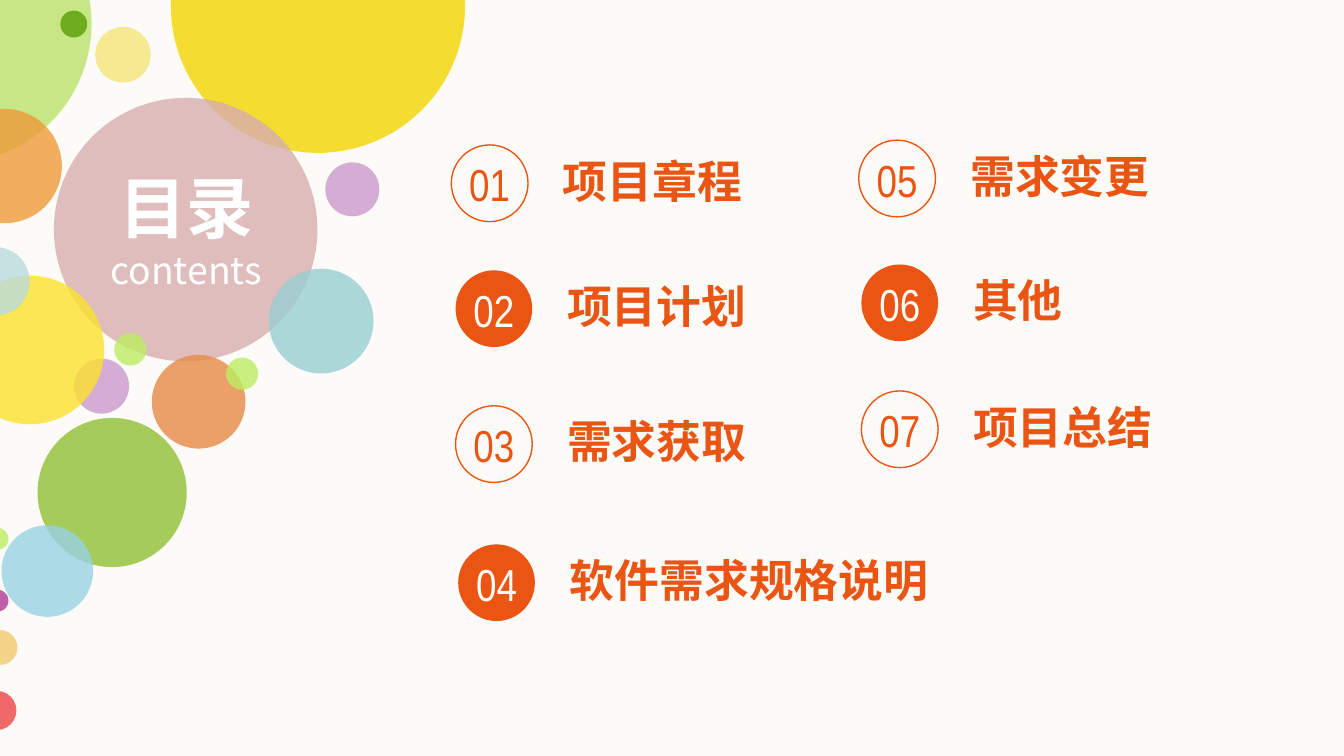
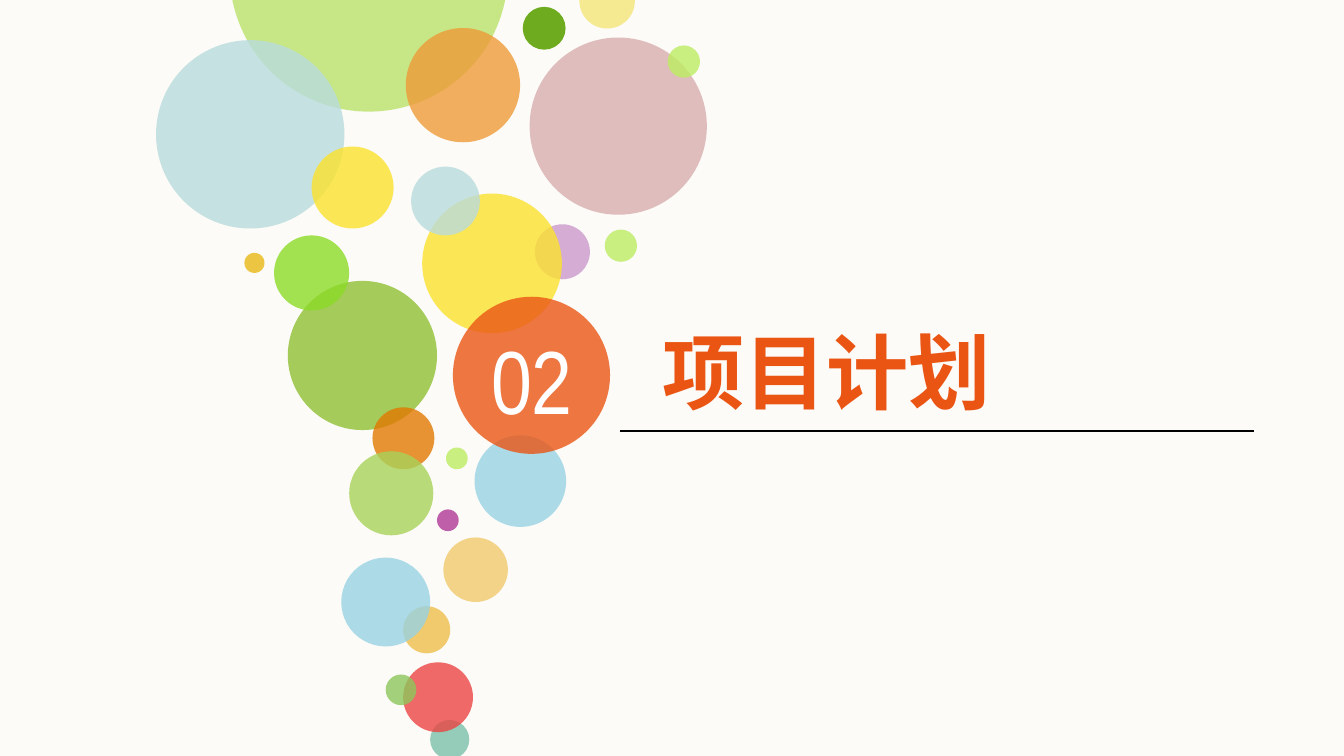
from lxml import etree
from pptx import Presentation
from pptx.dml.color import RGBColor
from pptx.enum.shapes import MSO_CONNECTOR, MSO_SHAPE
from pptx.enum.text import MSO_AUTO_SIZE, PP_ALIGN
from pptx.oxml.ns import qn
from pptx.util import Cm, Pt

CJK_FONT = "Noto Sans CJK SC"
NUMBER_FONT = "Arial Narrow"

PAPER = RGBColor(0xFC, 0xFB, 0xF7)
WHITE = RGBColor(0xFF, 0xFF, 0xFF)
BLACK = RGBColor(0x00, 0x00, 0x00)
ACCENT = RGBColor(0xEA, 0x55, 0x14)
LIME = RGBColor(0xBA, 0xE3, 0x6B)
PALE_LIME = RGBColor(0xBC, 0xED, 0x61)
BRIGHT_GREEN = RGBColor(0x8C, 0xDB, 0x27)
LEAF = RGBColor(0x6E, 0xAB, 0x1F)
GRASS = RGBColor(0xA5, 0xCB, 0x5A)
SOFT_GRASS = RGBColor(0xA9, 0xD2, 0x5A)
MOSS = RGBColor(0x8D, 0xC6, 0x5B)
AMBER = RGBColor(0xED, 0x9B, 0x38)
ORANGE = RGBColor(0xE7, 0x8A, 0x47)
DARK_ORANGE = RGBColor(0xE2, 0x79, 0x02)
CREAM = RGBColor(0xF5, 0xEA, 0x91)
GOLD = RGBColor(0xF4, 0xD5, 0x00)
MUSTARD = RGBColor(0xE9, 0xB9, 0x15)
YELLOW = RGBColor(0xFB, 0xE2, 0x2D)
SAND = RGBColor(0xF0, 0xCA, 0x6C)
ROSE = RGBColor(0xD8, 0xAE, 0xAF)
RED = RGBColor(0xEB, 0x45, 0x44)
LILAC = RGBColor(0xCB, 0x99, 0xCC)
PURPLE = RGBColor(0xB0, 0x38, 0x96)
TEAL = RGBColor(0x99, 0xCE, 0xD2)
SEA = RGBColor(0x7B, 0xBF, 0xAA)
MIST = RGBColor(0xB9, 0xDB, 0xDD)
SKY = RGBColor(0x98, 0xD2, 0xE3)

BUBBLE_OPACITY = 80

# Bubbles, back to front: left, top, diameter (cm), colour[, opacity %]
CONTENTS_BUBBLES = [
    (-3.53, -2.18, 5.26, LIME),
    (1.14, 0.2, 0.51, LEAF, 100),
    (-0.99, 2.06, 2.16, AMBER),
    (1.8, 0.51, 1.05, CREAM, 100),
    (3.23, -2.67, 5.56, GOLD),
    (1.02, 1.85, 4.98, ROSE),
    (5.08, 5.08, 1.98, TEAL),
    (6.15, 3.07, 1.02, LILAC),
    (2.87, 6.71, 1.77, ORANGE),
    (0.71, 7.9, 2.82, GRASS, 100),
    (4.27, 6.76, 0.61, PALE_LIME),
    (2.16, 6.3, 0.61, PALE_LIME),
    (1.4, 6.78, 1.04, LILAC),
    (-0.84, 5.21, 2.81, YELLOW),
    (-0.25, 9.98, 0.41, PALE_LIME),
    (-0.25, 11.15, 0.41, PURPLE),
    (-0.33, 11.91, 0.66, SAND),
    (-0.43, 13.06, 0.74, RED),
    (-0.74, 4.67, 1.3, MIST),
    (0.03, 9.93, 1.73, SKY),
]
SECTION_BUBBLES = [
    (4.34, -3.15, 5.26, LIME),
    (9.88, 0.13, 0.81, LEAF, 100),
    (2.95, 0.76, 3.56, MIST),
    (7.67, 0.53, 2.16, AMBER),
    (10.95, -0.51, 1.05, CREAM, 100),
    (10.01, 0.71, 3.35, ROSE),
    (5.44, 5.31, 2.82, GRASS, 100),
    (12.62, 0.86, 0.61, PALE_LIME),
    (11.43, 4.34, 0.61, PALE_LIME),
    (10.11, 4.24, 1.04, LILAC),
    (7.98, 3.66, 2.64, YELLOW),
    (5.89, 2.77, 1.55, YELLOW),
    (5.18, 4.45, 1.42, BRIGHT_GREEN),
    (4.62, 4.78, 0.38, MUSTARD),
    (8.43, 8.46, 0.41, PALE_LIME),
    (8.26, 9.63, 0.41, PURPLE),
    (8.38, 10.16, 1.22, SAND),
    (7.62, 11.46, 0.89, SAND, 100),
    (8.13, 13.61, 0.74, SEA),
    (7.62, 12.52, 1.32, RED),
    (7.29, 12.75, 0.58, MOSS),
    (6.45, 10.54, 1.68, SKY),
    (7.77, 3.15, 1.3, MIST),
    (8.97, 8.23, 1.73, SKY),
    (7.04, 7.7, 1.17, DARK_ORANGE),
    (6.6, 8.53, 1.59, SOFT_GRASS),
    (8.56, 5.61, 2.97, ACCENT),
]

# Chapters in order: title, badge left, badge top, title width (cm)
CHAPTERS = [
    ("项目章程", 8.53, 2.74, 4.06),
    ("项目计划", 8.61, 5.11, 4.34),
    ("需求获取", 8.61, 7.67, 4.06),
    ("软件需求规格说明", 8.66, 10.29, 6.93),
    ("需求变更", 16.23, 2.65, 7.44),
    ("其他", 16.28, 5.0, 4.11),
    ("项目总结", 16.28, 7.39, 3.51),
]
BADGE_SIZE = 1.45
BADGE_TEXT_DROP = 0.23
TITLE_OFFSET = 2.11
TITLE_DROP = 0.16
ROW_HEIGHT = 1.02
SECTION_NUMBER = 2


def add_slide(prs, bubbles):
    slide = prs.slides.add_slide(prs.slide_layouts[6])
    slide.background.fill.solid()
    slide.background.fill.fore_color.rgb = PAPER
    for bubble in bubbles:
        add_circle(slide, *bubble)
    return slide


def add_circle(slide, left, top, size, colour, opacity=BUBBLE_OPACITY, outlined=False):
    circle = slide.shapes.add_shape(
        MSO_SHAPE.OVAL, Cm(left), Cm(top), Cm(size), Cm(size))
    circle.shadow.inherit = False
    if outlined:
        circle.fill.background()
        circle.line.color.rgb = colour
        circle.line.width = Pt(0.75)
        return
    circle.line.fill.background()
    circle.fill.solid()
    circle.fill.fore_color.rgb = colour
    if opacity < 100:
        rgb = circle.fill._xPr.find(qn("a:solidFill"))[0]
        etree.SubElement(rgb, qn("a:alpha"), val=str(opacity * 1000))


def add_text(slide, left, top, width, height, lines, colour, font, align=PP_ALIGN.CENTER):
    """Each line is (text, size in points, bold)."""
    box = slide.shapes.add_textbox(Cm(left), Cm(top), Cm(width), Cm(height))
    frame = box.text_frame
    frame.margin_left = frame.margin_top = frame.margin_right = frame.margin_bottom = 0
    frame.word_wrap = True
    frame.auto_size = MSO_AUTO_SIZE.SHAPE_TO_FIT_TEXT
    for index, (text, size, bold) in enumerate(lines):
        paragraph = frame.add_paragraph() if index else frame.paragraphs[0]
        paragraph.alignment = align
        run = paragraph.add_run()
        run.text = text
        run.font.size = Pt(size)
        run.font.bold = bold
        run.font.color.rgb = colour
        run.font.name = font
        etree.SubElement(run.font._element, qn("a:ea"), typeface=font)


def add_chapter(slide, number, title, left, top, width):
    outlined = number % 2 == 1
    add_circle(slide, left, top, BADGE_SIZE, ACCENT, 100, outlined)
    add_text(slide, left, top + BADGE_TEXT_DROP, BADGE_SIZE, ROW_HEIGHT,
             [(f"{number:02}", 24, False)], ACCENT if outlined else PAPER, NUMBER_FONT)
    add_text(slide, left + TITLE_OFFSET, top + TITLE_DROP, width, ROW_HEIGHT,
             [(title, 24, True)], ACCENT, CJK_FONT, PP_ALIGN.LEFT)


def build_contents(prs):
    slide = add_slide(prs, CONTENTS_BUBBLES)
    add_text(slide, 1.6, 3.15, 3.84, 2.39,
             [("目录", 36, True), ("contents", 20, False)], WHITE, CJK_FONT)
    for number, chapter in enumerate(CHAPTERS, start=1):
        add_chapter(slide, number, *chapter)


def build_section(prs):
    slide = add_slide(prs, SECTION_BUBBLES)
    add_text(slide, 9.04, 6.15, 2.03, 2.06,
             [(f"{SECTION_NUMBER:02}", 48, False)], WHITE, NUMBER_FONT)
    add_text(slide, 12.52, 6.07, 6.38, 1.88,
             [(CHAPTERS[SECTION_NUMBER - 1][0], 44, True)], ACCENT, CJK_FONT,
             PP_ALIGN.JUSTIFY)
    rule = slide.shapes.add_connector(
        MSO_CONNECTOR.STRAIGHT, Cm(11.71), Cm(8.15), Cm(23.7), Cm(8.15))
    rule.line.color.rgb = BLACK
    rule.line.width = Pt(0.75)
    etree.SubElement(rule._element.spPr, qn("a:effectLst"))


def main():
    prs = Presentation()
    prs.slide_width, prs.slide_height = Cm(25.4), Cm(14.29)
    build_contents(prs)
    build_section(prs)
    prs.save("out.pptx")


if __name__ == "__main__":
    main()
